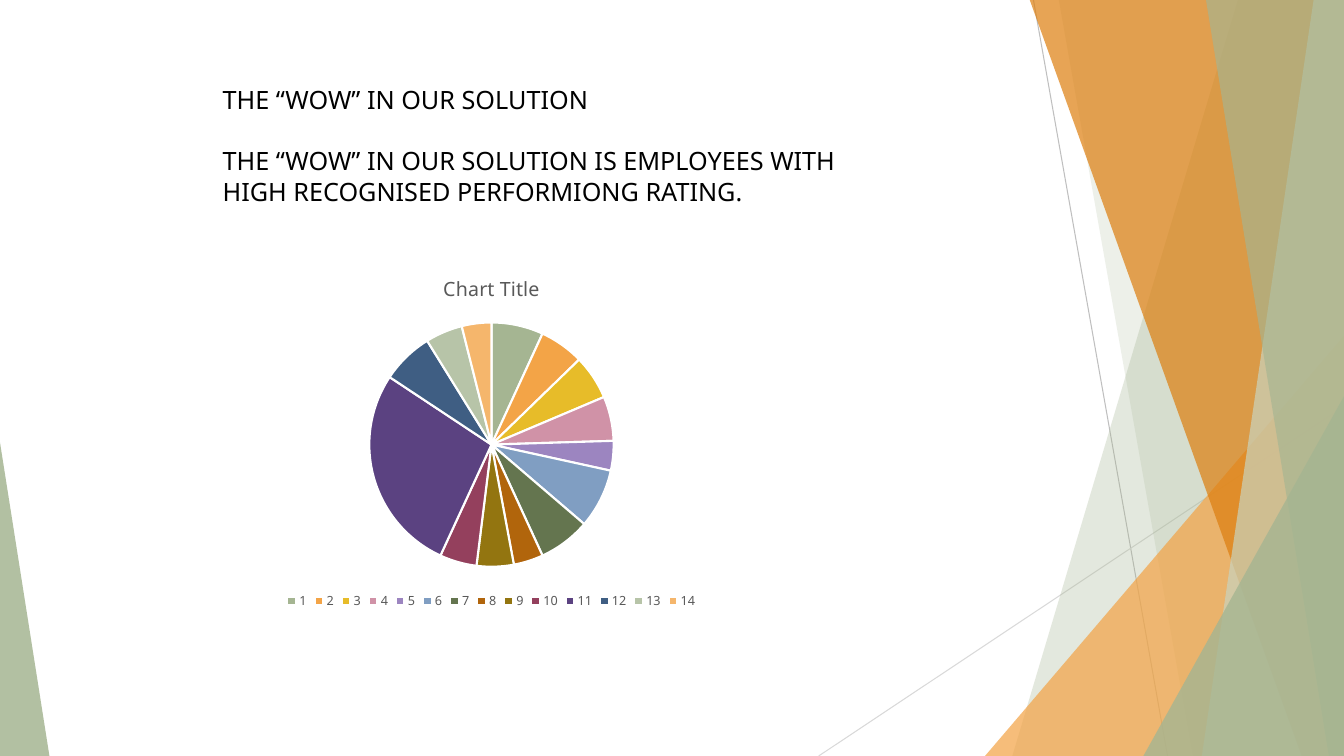
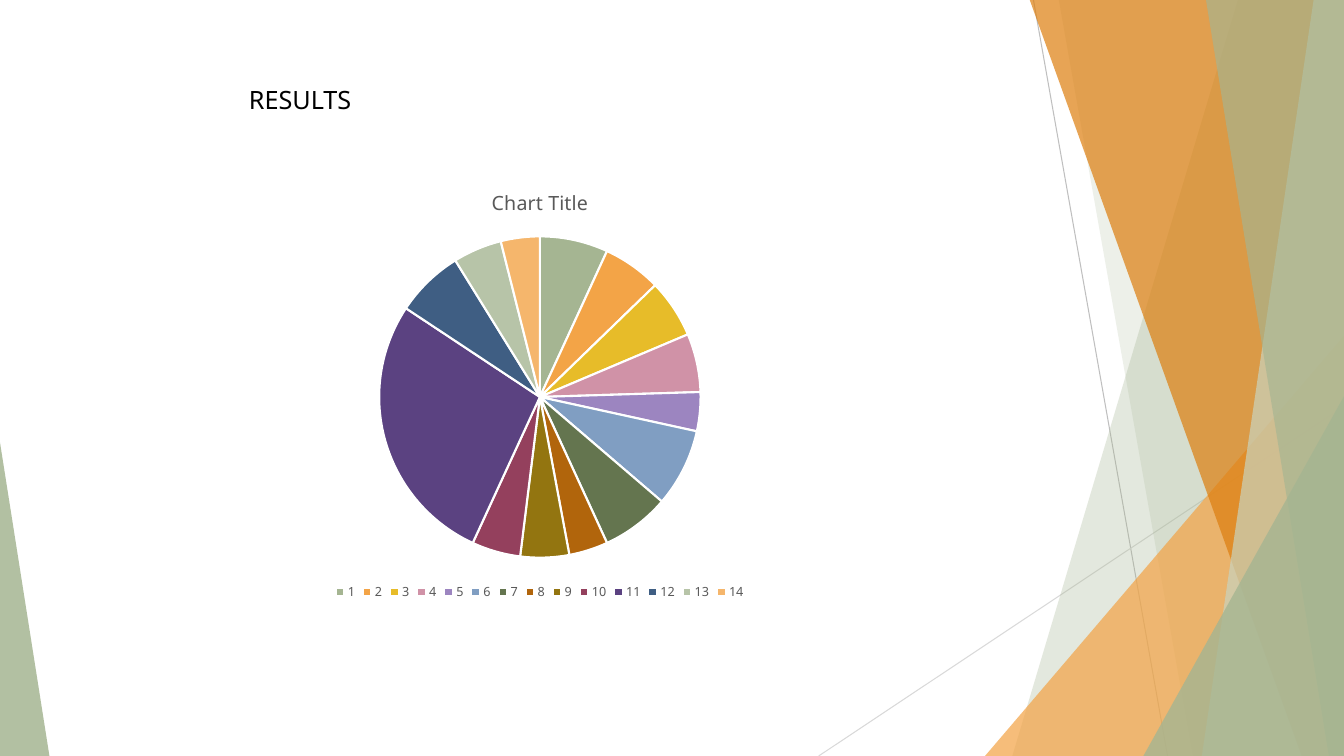
from dataclasses import dataclass

from lxml.etree import SubElement
from pptx import Presentation
from pptx.chart.data import CategoryChartData
from pptx.dml.color import RGBColor
from pptx.enum.chart import XL_CHART_TYPE, XL_LEGEND_POSITION
from pptx.enum.shapes import MSO_CONNECTOR, MSO_SHAPE
from pptx.enum.text import MSO_AUTO_SIZE
from pptx.oxml.ns import qn
from pptx.util import Inches, Pt


@dataclass(frozen=True)
class Theme:
    font: str = "Noto Sans"
    text: str = "000000"
    muted: str = "595959"
    white: str = "FFFFFF"
    sage: str = "A5B592"
    pale_sage: str = "C9D3BE"
    orange: str = "F3A447"
    dark_orange: str = "DD7E0E"
    light_line: str = "D9D9D9"
    gray_line: str = "BFBFBF"
    slices: tuple = (
        "A5B592", "F3A447", "E7BC29", "D092A7", "9C85C0", "809EC2", "64754F",
        "B1650C", "937510", "94405D", "5B4281", "3F5E83", "B7C4A8", "F5B66C",
    )
    body_size: int = 18
    chart_title_size: int = 14
    chart_size: int = 10
    legend_size: int = 9


theme = Theme()


def set_font(font, size, color):
    font.name = theme.font
    font.size = Pt(size)
    font.bold = False
    font.color.rgb = RGBColor.from_string(color)


def add_text(slide, paragraphs, *, left, top, width, height,
             size=theme.body_size, color=theme.text, gap=22):
    shape = slide.shapes.add_textbox(
        Inches(left), Inches(top), Inches(width), Inches(height))
    frame = shape.text_frame
    frame.word_wrap = True
    frame.auto_size = MSO_AUTO_SIZE.SHAPE_TO_FIT_TEXT
    for index, text in enumerate(paragraphs):
        paragraph = frame.add_paragraph() if index else frame.paragraphs[0]
        if index:
            paragraph.space_before = Pt(gap)
        run = paragraph.add_run()
        run.text = text
        set_font(run.font, size, color)


WIDTH, HEIGHT = 13.33, 7.5
presentation = Presentation()
presentation.slide_width = Inches(WIDTH)
presentation.slide_height = Inches(HEIGHT)
layout = presentation.slide_layouts[6]
for placeholder in list(layout.placeholders):
    layout.shapes.element.remove(placeholder.element)
slides = [presentation.slides.add_slide(layout) for _ in range(2)]

# Shared decoration: drawn once, then moved to the layout
canvas = slides[0].shapes

for start, end, color in [
    ((10.25, 0), (11.58, HEIGHT), theme.gray_line),
    ((WIDTH, 4.03), (8.12, HEIGHT), theme.light_line),
]:
    line = canvas.add_connector(
        MSO_CONNECTOR.STRAIGHT, *map(Inches, start), *map(Inches, end))
    line.line.color.rgb = RGBColor.from_string(color)
    line.line.width = Pt(0.75)
    SubElement(line.element.spPr, qn("a:effectLst"))

# Bands give their left edge at top and bottom and run to the slide's right
# edge; triangles give left, top, width and the position of the apex.
for kind, geometry, color, opacity in [
    ("band", (12.28, 10.04), theme.sage, 30),
    ("band", (10.5, 11.83), theme.sage, 20),
    ("triangle", (9.77, 3.33, 3.56, 1), theme.orange, 72),
    ("band", (10.21, 12.91), theme.dark_orange, 70),
    ("band", (13.03, 11.92), theme.pale_sage, 70),
    ("band", (11.96, 13.18), theme.sage, 65),
    ("triangle", (11.34, 3.93, 1.99, 1), theme.sage, 80),
    ("triangle", (0, 4.39, 0.49, 0), theme.sage, 85),
]:
    if kind == "band":
        top_left, bottom_left = geometry
        builder = canvas.build_freeform(Inches(top_left), Inches(-0.01))
        corners = [(WIDTH, -0.01), (WIDTH, HEIGHT), (bottom_left, HEIGHT)]
        builder.add_line_segments(
            [(Inches(x), Inches(y)) for x, y in corners], close=True)
        shape = builder.convert_to_shape()
    else:
        left, top, width, apex = geometry
        shape = canvas.add_shape(
            MSO_SHAPE.ISOSCELES_TRIANGLE, Inches(left), Inches(top),
            Inches(width), Inches(HEIGHT - top))
        shape.adjustments[0] = apex
    shape.shadow.inherit = False
    shape.line.fill.background()
    shape.fill.solid()
    shape.fill.fore_color.rgb = RGBColor.from_string(color)
    color_element = shape.element.spPr.find(qn("a:solidFill"))[0]
    SubElement(color_element, qn("a:alpha"), val=str(opacity * 1000))

for shape in list(canvas):
    layout.shapes.element.append(shape.element)

# Headings
add_text(
    slides[0],
    ["THE “WOW” IN OUR SOLUTION",
     "THE “WOW” IN OUR SOLUTION IS EMPLOYEES WITH HIGH RECOGNISED "
     "PERFORMIONG RATING."],
    left=2.11, top=0.79, width=6.86, height=1.31)
add_text(slides[1], ["RESULTS"], left=2.37, top=0.79, width=4.51, height=0.4)

# The same rating pie on both slides
ratings = CategoryChartData()
ratings.categories = [str(number) for number in range(1, 15)]
ratings.add_series("Series 1", (7, 6, 6, 6, 4, 8, 7, 4, 5, 5, 28, 7, 5, 4))

for slide, position in zip(slides, [(1.73, 2.55, 6.29, 3.54),
                                    (2.07, 1.68, 6.57, 4.32)]):
    chart = slide.shapes.add_chart(
        XL_CHART_TYPE.PIE, *map(Inches, position), ratings).chart
    set_font(chart.font, theme.chart_size, theme.text)

    chart.has_title = True
    title = chart.chart_title.text_frame.paragraphs[0].add_run()
    title.text = "Chart Title"
    set_font(title.font, theme.chart_title_size, theme.muted)
    chart.chart_title.include_in_layout = False

    chart.has_legend = True
    chart.legend.position = XL_LEGEND_POSITION.BOTTOM
    chart.legend.include_in_layout = False
    set_font(chart.legend.font, theme.legend_size, theme.muted)

    plot = chart.plots[0]
    plot.vary_by_categories = True
    for index, color in enumerate(theme.slices):
        pie_slice = plot.series[0].points[index].format
        pie_slice.fill.solid()
        pie_slice.fill.fore_color.rgb = RGBColor.from_string(color)
        pie_slice.line.color.rgb = RGBColor.from_string(theme.white)
        pie_slice.line.width = Pt(1.5)

presentation.save("out.pptx")
